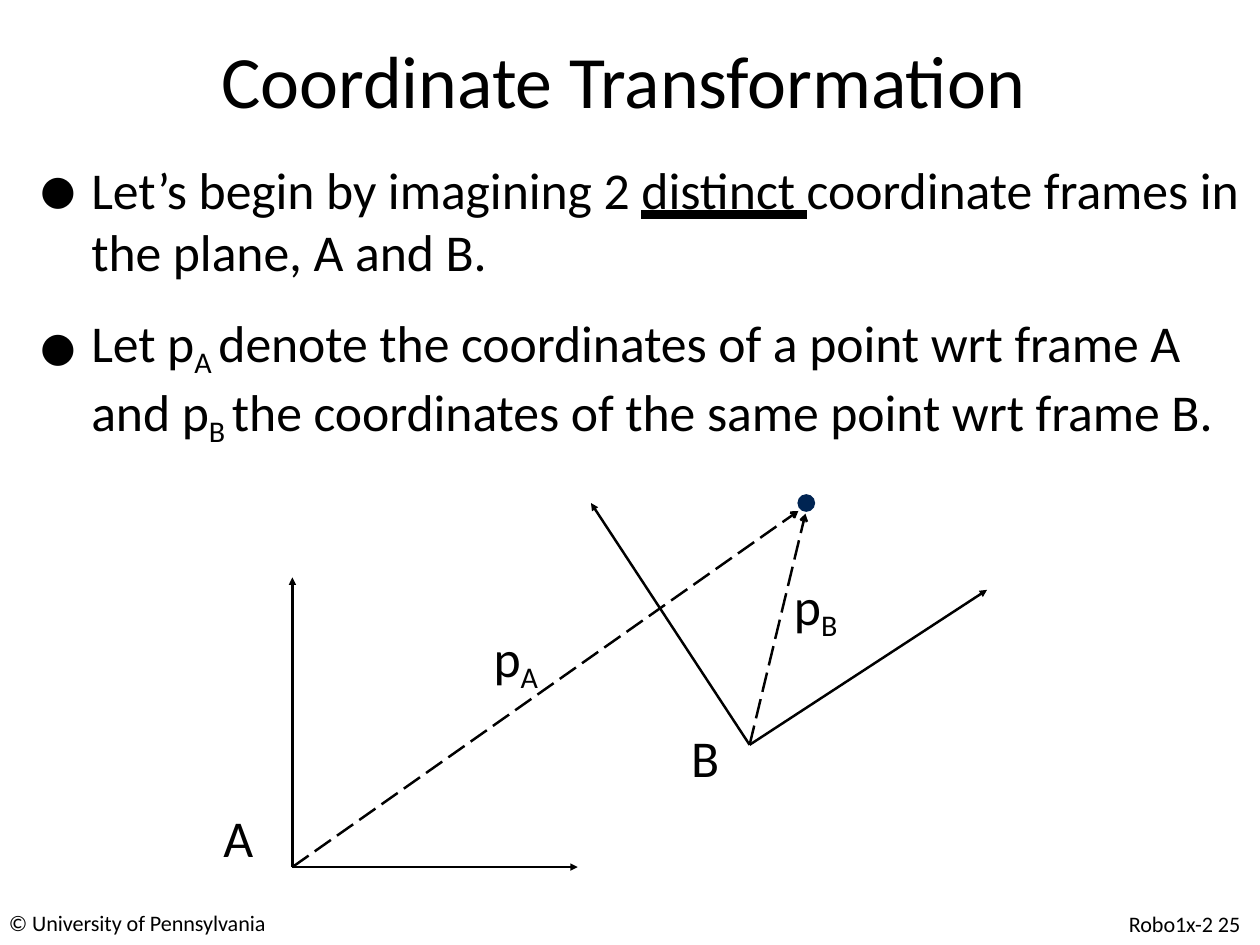
from dataclasses import dataclass

from lxml.etree import SubElement
from pptx import Presentation
from pptx.dml.color import RGBColor
from pptx.enum.dml import MSO_LINE
from pptx.enum.shapes import MSO_CONNECTOR, MSO_SHAPE
from pptx.enum.text import MSO_UNDERLINE
from pptx.oxml.ns import qn
from pptx.shapes.autoshape import Shape
from pptx.slide import Slide
from pptx.text.text import TextFrame, _Paragraph
from pptx.util import Emu, Pt

PX = 9144  # EMU per px, 100 px to the inch
BLACK = RGBColor(0x00, 0x00, 0x00)
NAVY = RGBColor(0x00, 0x24, 0x52)
SUBSCRIPT = {"baseline": "-21000"}


@dataclass(frozen=True)
class Span:
    text: str
    subscript: bool = False
    underline: bool = False


@dataclass(frozen=True)
class Label:
    left: int
    top: int
    width: int
    height: int
    spans: tuple[Span, ...]
    size: int = 42
    line_spacing: float | None = None


@dataclass(frozen=True)
class Arrow:
    start: tuple[int, int]
    end: tuple[int, int]
    dashed: bool = False


ORIGIN_A = (330, 979)
ORIGIN_B = (846, 841)

TITLE = Label(250, 39, 961, 129, (Span("Coordinate Transformation"),), 60)
LABELS = (
    TITLE,
    Label(780, 820, 60, 72, (Span("B"),)),
    Label(252, 910, 60, 72, (Span("A"),)),
    Label(557, 707, 60, 84, (Span("p"), Span("A", subscript=True))),
    Label(896, 648, 60, 84, (Span("p"), Span("B", subscript=True))),
    Label(10, 1032, 297, 28, (Span("© University of Pennsylvania"),), 18, 18.1),
    Label(1274, 1033, 140, 28, (Span("Robo1x-2 25"),), 18, 18.1),
)
BULLETS = (
    (
        Span("Let’s begin by imagining 2 "),
        Span("distinct ", underline=True),
        Span("coordinate frames in the plane, A and B."),
    ),
    (
        Span("Let p"),
        Span("A ", subscript=True),
        Span("denote the coordinates of a point wrt frame A and p"),
        Span("B ", subscript=True),
        Span("the coordinates of the same point wrt frame B."),
    ),
)
ARROWS = (
    Arrow(ORIGIN_A, (330, 652)),
    Arrow(ORIGIN_A, (652, 979)),
    Arrow(ORIGIN_B, (667, 568)),
    Arrow(ORIGIN_B, (1114, 666)),
    Arrow(ORIGIN_A, (901, 577), dashed=True),
    Arrow(ORIGIN_B, (909, 580), dashed=True),
)


def px(length: int) -> Emu:
    return Emu(length * PX)


def add_frame(slide: Slide, left: int, top: int, width: int, height: int) -> TextFrame:
    """Add a wrapping text box without insets."""
    frame = slide.shapes.add_textbox(px(left), px(top), px(width), px(height)).text_frame
    frame.word_wrap = True
    for side in ("left", "top", "right", "bottom"):
        setattr(frame, f"margin_{side}", 0)
    return frame


def add_spans(paragraph: _Paragraph, spans: tuple[Span, ...], size: int) -> None:
    for span in spans:
        run = paragraph.add_run()
        run.text = span.text
        run.font.color.rgb = BLACK
        formats = {"name": "Calibri", "size": Pt(size)}
        if span.underline:
            formats["underline"] = MSO_UNDERLINE.HEAVY_LINE
        for attribute, value in formats.items():
            setattr(run.font, attribute, value)
        properties = run._r.get_or_add_rPr()
        properties.set("spc", "-5")
        if span.subscript:
            properties.attrib.update(SUBSCRIPT)


def add_label(slide: Slide, label: Label) -> None:
    frame = add_frame(slide, label.left, label.top, label.width, label.height)
    paragraph = frame.paragraphs[0]
    if label.line_spacing:
        paragraph.line_spacing = Pt(label.line_spacing)
    add_spans(paragraph, label.spans, label.size)


def add_bullets(slide: Slide) -> None:
    frame = add_frame(slide, 39, 178, 1371, 313)
    for index, spans in enumerate(BULLETS):
        paragraph = frame.add_paragraph() if index else frame.paragraphs[0]
        if index:
            paragraph.space_before = Pt(24)
        properties = paragraph._p.get_or_add_pPr()
        properties.set("marL", str(px(64)))
        properties.set("indent", str(px(-62)))
        SubElement(properties, qn("a:buSzPct"), val="170000")
        SubElement(properties, qn("a:buFont"), typeface="Calibri")
        SubElement(properties, qn("a:buChar"), char="•")
        add_spans(paragraph, spans, 42)


def add_arrow(slide: Slide, arrow: Arrow) -> None:
    connector = slide.shapes.add_connector(
        MSO_CONNECTOR.STRAIGHT, *map(px, arrow.start + arrow.end)
    )
    connector.line.width = Pt(2)
    connector.line.color.rgb = BLACK
    if arrow.dashed:
        connector.line.dash_style = MSO_LINE.LONG_DASH
    head = "arrow" if arrow.dashed else "triangle"
    SubElement(connector.line._get_or_add_ln(), qn("a:tailEnd"), type=head)
    SubElement(connector._element.spPr, qn("a:effectLst"))


def add_point(slide: Slide) -> Shape:
    point = slide.shapes.add_shape(MSO_SHAPE.OVAL, px(900), px(558), px(20), px(20))
    point.shadow.inherit = False
    point.fill.solid()
    point.fill.fore_color.rgb = NAVY
    point.line.fill.background()
    return point


def main() -> None:
    presentation = Presentation()
    presentation.slide_width = px(1422)
    presentation.slide_height = px(1067)
    slide = presentation.slides.add_slide(presentation.slide_layouts[6])
    for label in LABELS:
        add_label(slide, label)
    add_bullets(slide)
    for arrow in ARROWS:
        add_arrow(slide, arrow)
    add_point(slide)
    presentation.save("out.pptx")


if __name__ == "__main__":
    main()
